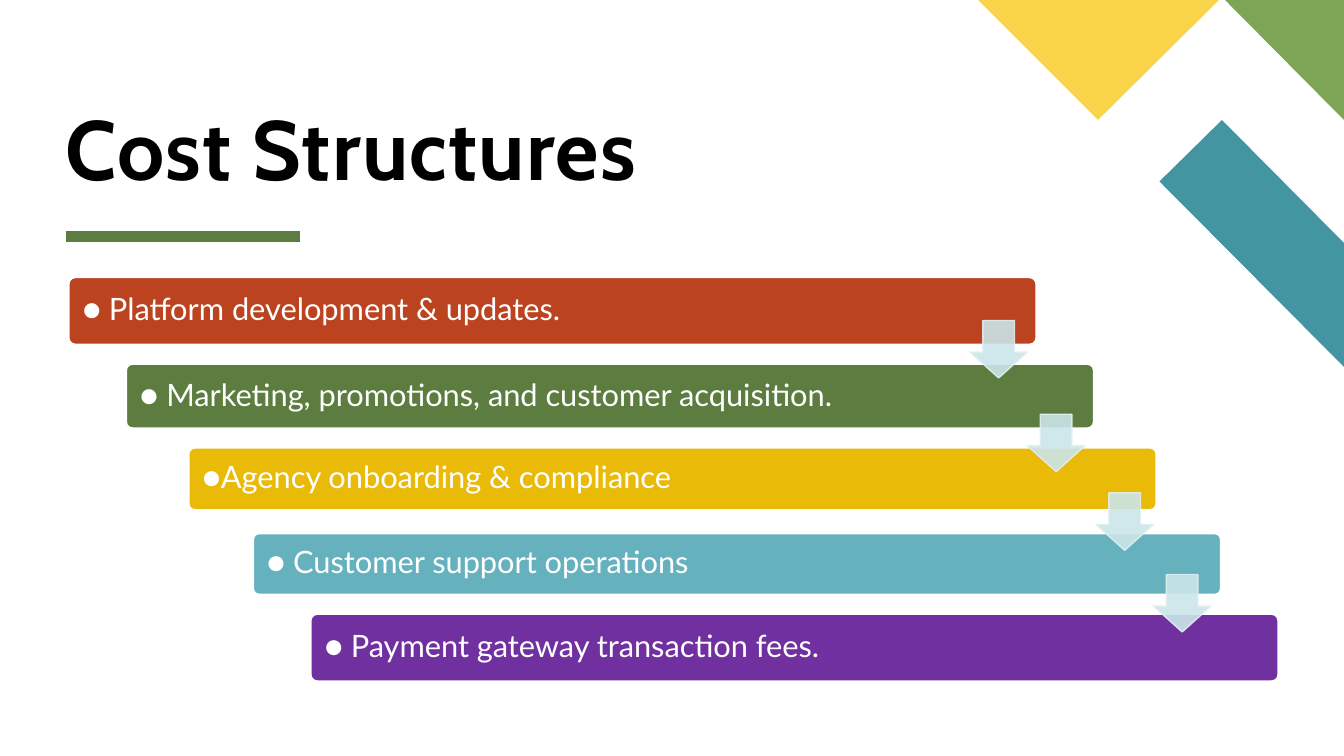
from lxml.etree import SubElement
from pptx import Presentation
from pptx.dml.color import RGBColor
from pptx.enum.shapes import MSO_CONNECTOR, MSO_SHAPE
from pptx.enum.text import MSO_ANCHOR, PP_ALIGN
from pptx.oxml.ns import qn
from pptx.util import Inches, Pt

COLORS = {
    "black": "000000", "white": "FFFFFF", "red": "BB431F", "green": "5D7D40",
    "gold": "E9BA08", "aqua": "65B2BE", "purple": "7030A0",
    "teal": "4495A2", "leaf": "7CA655", "yellow": "F9D448",
    "arrow": "CBE5E9", "arrow edge": "E2EFF1",
}


def color(name):
    return RGBColor.from_string(COLORS[name])


def write_text(shape, text, *, font, size, color_name, bold=False, line_spacing=0.9,
               anchor=MSO_ANCHOR.MIDDLE, side_inset=0.0):
    frame = shape.text_frame
    frame.word_wrap = True
    frame.vertical_anchor = anchor
    frame.margin_left = frame.margin_right = Inches(side_inset)
    frame.margin_top = frame.margin_bottom = 0
    paragraph = frame.paragraphs[0]
    paragraph.alignment = PP_ALIGN.LEFT
    paragraph.line_spacing = line_spacing
    run = paragraph.add_run()
    run.text = text
    run.font.name = font
    run.font.size = Pt(size)
    run.font.bold = bold
    run.font.color.rgb = color(color_name)
    return run


presentation = Presentation()
presentation.slide_width = Inches(13.33)
presentation.slide_height = Inches(7.5)
slide = presentation.slides.add_slide(presentation.slide_layouts[5])
shapes = slide.shapes

# Corner decoration
decorations = [
    ("teal", [(13.33, 3.64), (13.33, 2.41), (12.12, 1.19), (11.5, 1.8)]),
    ("leaf", [(13.33, 1.19), (13.33, 0), (12.15, 0)]),
    ("yellow", [(9.7, 0), (10.89, 1.19), (12.09, 0)]),
]
for color_name, corners in decorations:
    points = [(Inches(x), Inches(y)) for x, y in corners]
    builder = shapes.build_freeform(*points[0])
    builder.add_line_segments(points[1:], close=True)
    decoration = builder.convert_to_shape()
    decoration.shadow.inherit = False
    decoration.fill.solid()
    decoration.fill.fore_color.rgb = color(color_name)
    decoration.line.fill.background()

# Title and its underline
title = shapes.title
title.left, title.top = Inches(0.65), Inches(0.21)
title.width, title.height = Inches(7.42), Inches(1.74)
title_run = write_text(title, "Cost Structures", font="Cabin", size=60, color_name="black",
                       bold=True, line_spacing=0.8, anchor=MSO_ANCHOR.BOTTOM)
title_run.font._element.set("spc", "100")

underline = shapes.add_connector(MSO_CONNECTOR.STRAIGHT, Inches(0.65), Inches(2.35),
                                 Inches(2.98), Inches(2.35))
underline.line.color.rgb = color("green")
underline.line.width = Pt(8)
SubElement(underline._element.spPr, qn("a:effectLst"))

# Staircase of cost bars: left, top, height, colour, text
costs = [
    (0.68, 2.75, 0.67, "red", "● Platform development & updates."),
    (1.25, 3.61, 0.64, "green", "● Marketing, promotions, and customer acquisition."),
    (1.87, 4.44, 0.62, "gold", "●Agency onboarding & compliance"),
    (2.51, 5.29, 0.61, "aqua", "● Customer support operations"),
    (3.08, 6.09, 0.67, "purple", "● Payment gateway transaction fees."),
]
for left, top, height, color_name, text in costs:
    bar = shapes.add_shape(MSO_SHAPE.ROUNDED_RECTANGLE, Inches(left), Inches(top),
                           Inches(9.6), Inches(height))
    bar.adjustments[0] = 0.1
    bar.shadow.inherit = False
    bar.fill.solid()
    bar.fill.fore_color.rgb = color(color_name)
    bar.line.color.rgb = color("white")
    bar.line.width = Pt(1.5)
    write_text(bar, text, font="Lato", size=22, color_name="white", side_inset=0.12)

# Arrows leading from each bar to the next
for left, top in [(9.62, 3.18), (10.19, 4.11), (10.87, 4.89), (11.44, 5.7)]:
    arrow = shapes.add_shape(MSO_SHAPE.DOWN_ARROW, Inches(left), Inches(top),
                             Inches(0.57), Inches(0.57))
    arrow.adjustments[0] = 0.55
    arrow.adjustments[1] = 0.45
    arrow.shadow.inherit = False
    arrow.fill.solid()
    arrow.fill.fore_color.rgb = color("arrow")
    arrow.line.color.rgb = color("arrow edge")
    arrow.line.width = Pt(1)
    for paint in arrow._element.spPr.iter(qn("a:srgbClr")):
        SubElement(paint, qn("a:alpha")).set("val", "90000")

presentation.save("out.pptx")
